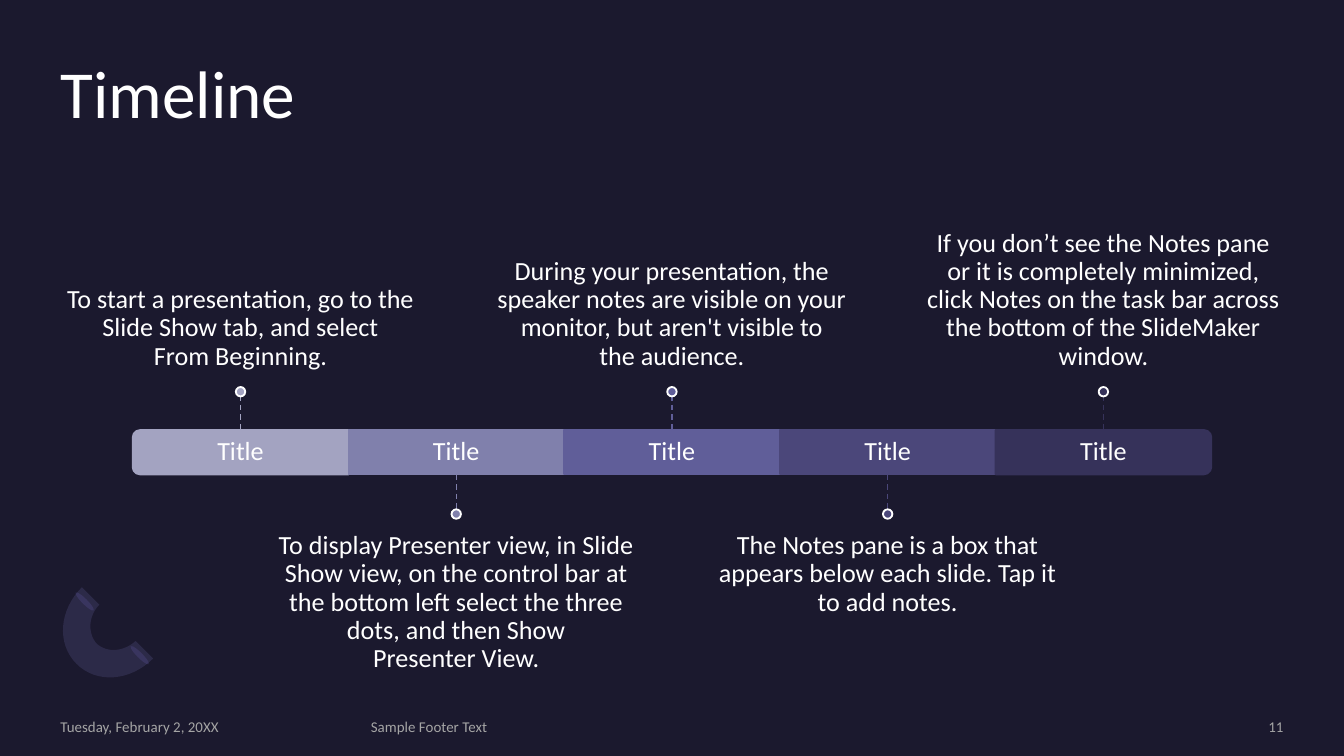
"""Build a dark five-step timeline slide."""
from lxml import etree
from pptx import Presentation
from pptx.dml.color import RGBColor
from pptx.enum.dml import MSO_LINE
from pptx.enum.shapes import MSO_CONNECTOR as CONN, MSO_SHAPE as SHAPE
from pptx.enum.text import MSO_ANCHOR as ANCHOR, MSO_AUTO_SIZE, PP_ALIGN as ALIGN
from pptx.oxml.ns import qn
from pptx.util import Inches, Pt

NAVY = RGBColor(0x1B, 0x19, 0x2E)
WHITE = RGBColor(0xFF, 0xFF, 0xFF)
GREY = RGBColor(0xA5, 0xA5, 0xA5)
PLUM = RGBColor(0x2B, 0x27, 0x4A)
VIOLET = RGBColor(0x74, 0x6E, 0xB3)
LAVENDER = RGBColor(0xA3, 0xA3, 0xC1)
PERIWINKLE = RGBColor(0x80, 0x80, 0xAC)
IRIS = RGBColor(0x60, 0x5E, 0x99)
INDIGO = RGBColor(0x4B, 0x47, 0x7A)
DUSK = RGBColor(0x36, 0x32, 0x5A)

COLS, ROWS = 100, 56.25
STEP, BAR_TOP, BAR_H = 16.05, 32, 3.3
BAR_MID, BAR_BOTTOM = BAR_TOP + BAR_H / 2, BAR_TOP + BAR_H
STEM, DOT = 2.6, 0.7
NOTE_W, NOTE_H, PAD = 26.7, 11.4, 1.1

STEPS = [
    (LAVENDER, "To start a presentation, go to the Slide Show tab, and select\nFrom Beginning."),
    (PERIWINKLE, "To display Presenter view, in Slide Show view, on the control bar at "
                 "the bottom left select the three dots, and then Show\nPresenter View."),
    (IRIS, "During your presentation, the speaker notes are visible on your "
           "monitor, but aren't visible to\nthe audience."),
    (INDIGO, "The Notes pane is a box that appears below each slide. Tap it to add notes."),
    (DUSK, "If you don’t see the Notes pane or it is completely minimized, click Notes "
           "on the task bar across the bottom of the SlideMaker window."),
]
FOOTER = [
    (4.5, 21.6, "Tuesday, February 2, 20XX", ALIGN.LEFT),
    (27.6, 52.3, "Sample Footer Text", ALIGN.LEFT),
    (81.6, 13.9, "11", ALIGN.RIGHT),
]


def curve(p0, p1, p2, p3, n=16):
    """Return points along a cubic Bezier curve."""
    return [tuple((1 - t) ** 3 * a + 3 * (1 - t) ** 2 * t * b + 3 * (1 - t) * t * t * c + t ** 3 * d
                  for a, b, c, d in zip(p0, p1, p2, p3))
            for t in (i / n for i in range(n + 1))]


class Deck:
    """Hold the style and the current slide."""

    def __init__(self, font="Calibri"):
        self.font = font
        self.prs = Presentation()
        self.prs.slide_width, self.prs.slide_height = Inches(10), Inches(5.625)
        self.s = self.prs.slides.add_slide(self.prs.slide_layouts[5])
        fill = self.s.background.fill
        fill.solid()
        fill.fore_color.rgb = NAVY

    def x(self, col):
        return round(self.prs.slide_width * col / COLS)

    def y(self, row):
        return round(self.prs.slide_height * row / ROWS)

    def box(self, left, top, width, height):
        return self.x(left), self.y(top), self.x(width), self.y(height)

    def set_text(self, sp, text, size, color, align, anchor, spacing, pads=(0, 0, 0, 0)):
        tf = sp.text_frame
        tf.text = text
        tf.word_wrap = True
        tf.auto_size = MSO_AUTO_SIZE.NONE
        tf.vertical_anchor = anchor
        tf.margin_left, tf.margin_top, tf.margin_right, tf.margin_bottom = self.box(*pads)
        for p in tf.paragraphs:
            p.alignment, p.line_spacing = align, spacing
            for r in p.runs:
                r.font.name, r.font.size = self.font, Pt(size)
                r.font.color.rgb = color

    def title(self, text, *place):
        sp = self.s.shapes.title
        sp.left, sp.top, sp.width, sp.height = self.box(*place)
        self.set_text(sp, text, 36, WHITE, ALIGN.LEFT, ANCHOR.TOP, 0.9)

    def text(self, text, place, size=14, color=WHITE, align=ALIGN.CENTER,
             anchor=ANCHOR.MIDDLE, spacing=0.9, pads=(0, 0, 0, 0)):
        sp = self.s.shapes.add_textbox(*self.box(*place))
        self.set_text(sp, text, size, color, align, anchor, spacing, pads)

    def paint(self, sp, fill, line=None):
        sp.shadow.inherit = False
        sp.fill.solid()
        sp.fill.fore_color.rgb = fill
        if line is None:
            sp.line.fill.background()
        else:
            sp.line.color.rgb, sp.line.width = line, Pt(1)

    def shape(self, kind, place, fill, line=None, turn=0):
        sp = self.s.shapes.add_shape(kind, *self.box(*place))
        self.paint(sp, fill, line)
        sp.rotation = turn
        return sp

    def outline(self, points, fill, alpha):
        pts = [(self.x(a), self.y(b)) for a, b in points]
        fb = self.s.shapes.build_freeform(*pts[0], scale=1.0)
        fb.add_line_segments(pts[1:], close=True)
        sp = fb.convert_to_shape()
        self.paint(sp, fill)
        clr = sp._element.spPr.find(qn("a:solidFill"))[0]
        etree.SubElement(clr, qn("a:alpha"), val=str(alpha * 1000))

    def stem(self, col, top, color):
        ends = self.x(col), self.y(top), self.x(col), self.y(top + STEM)
        sp = self.s.shapes.add_connector(CONN.STRAIGHT, *ends)
        sp.line.color.rgb, sp.line.width = color, Pt(0.75)
        sp.line.dash_style = MSO_LINE.DASH
        etree.SubElement(sp._element.spPr, qn("a:effectLst"))

    def segment(self, col, color, turn):
        if turn:
            place = col - BAR_H / 2, BAR_MID - STEP / 2, BAR_H, STEP
            sp = self.shape(SHAPE.ROUND_2_SAME_RECTANGLE, place, color, color, turn)
            sp.adjustments[0], sp.adjustments[1] = 0.167, 0
        else:
            self.shape(SHAPE.RECTANGLE, (col - STEP / 2, BAR_TOP, STEP, BAR_H), color, color)
        self.text("Title", (col - STEP / 2, BAR_TOP, STEP, BAR_H), pads=(PAD,) * 4)

    def step(self, col, color, note, above, turn):
        self.segment(col, color, turn)
        if above:
            top, dot, note_top = BAR_TOP - STEM, BAR_TOP - STEM - DOT + 0.1, 17.3
            anchor, pads = ANCHOR.BOTTOM, (0, 0, 0, PAD)
        else:
            top, dot, note_top = BAR_BOTTOM, BAR_BOTTOM + STEM, 38.5
            anchor, pads = ANCHOR.TOP, (0, PAD, 0, 0)
        self.text(note, (col - NOTE_W / 2, note_top, NOTE_W, NOTE_H), anchor=anchor, pads=pads)
        self.stem(col, top, color)
        self.shape(SHAPE.OVAL, (col - DOT / 2, dot, DOT, DOT), color, WHITE)

    def arc(self):
        for left, top in ((10.2, 47.8), (6.1, 43.8)):
            self.shape(SHAPE.OVAL, (left, top, 0.4, 1.9), PLUM, turn=315)
        outer = curve((5.7, 49.4), (4.2, 47.9), (4.4, 45.4), (6.1, 43.7))
        inner = (curve((7.4, 45), (6.6, 45.8), (6.5, 47.1), (7.2, 47.9))
                 + curve((7.2, 47.9), (8, 48.6), (9.2, 48.5), (10.1, 47.7))[1:])
        base = curve((11.4, 49), (9.7, 50.7), (7.2, 50.9), (5.7, 49.4))
        self.outline(outer + inner + base[:-1], VIOLET, 20)


def main():
    d = Deck()
    d.arc()
    d.title("Timeline", 4.5, 4.5, 91, 10.9)
    last = len(STEPS) - 1
    turns = {0: 270, last: 90}
    for i, (color, note) in enumerate(STEPS):
        d.step(COLS / 2 + STEP * (i - last / 2), color, note, i % 2 == 0, turns.get(i, 0))
    for left, width, text, align in FOOTER:
        d.text(text, (left, 53.4, width, 1.3), 8, GREY, align, spacing=1.0)
    d.prs.save("out.pptx")


if __name__ == "__main__":
    main()
